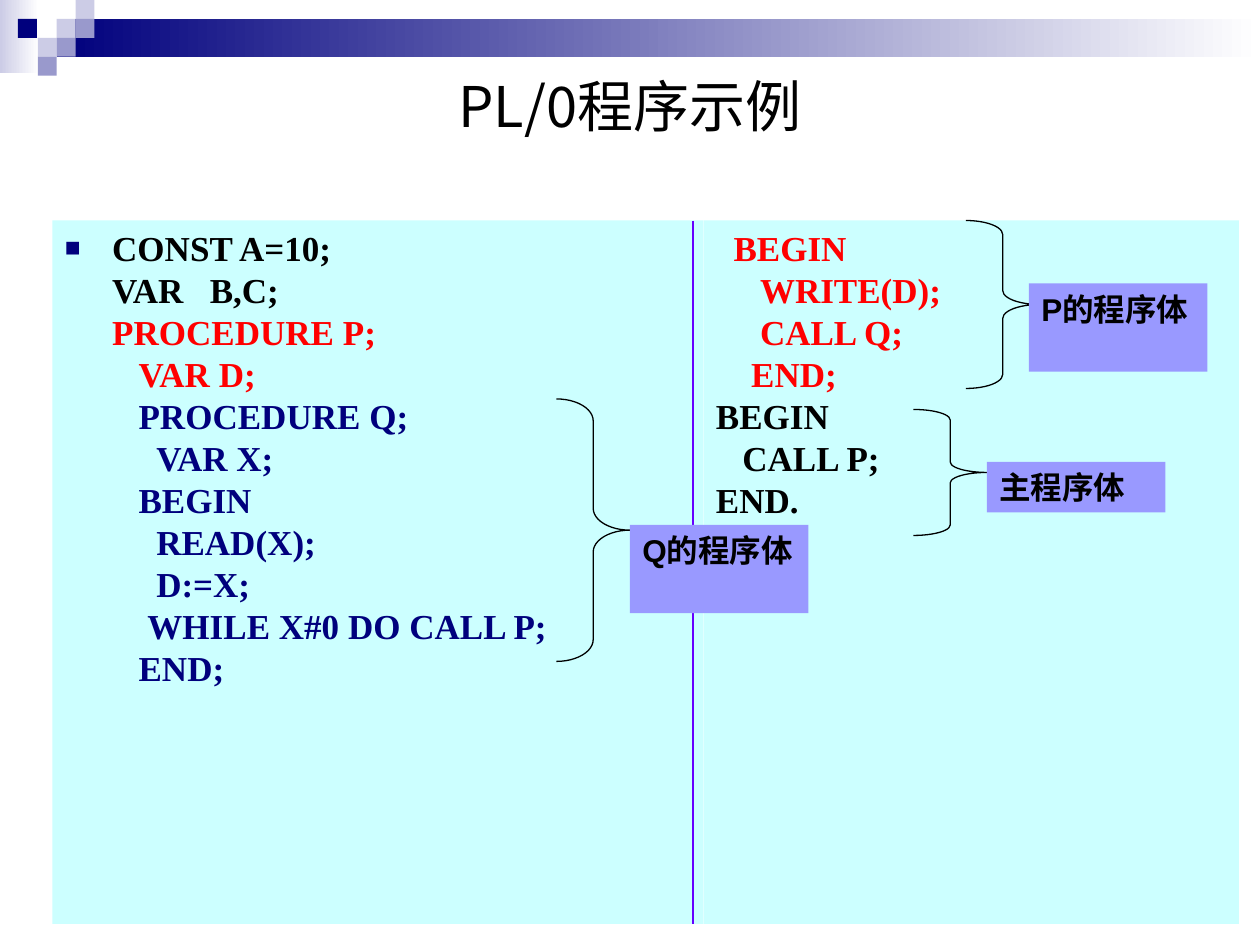
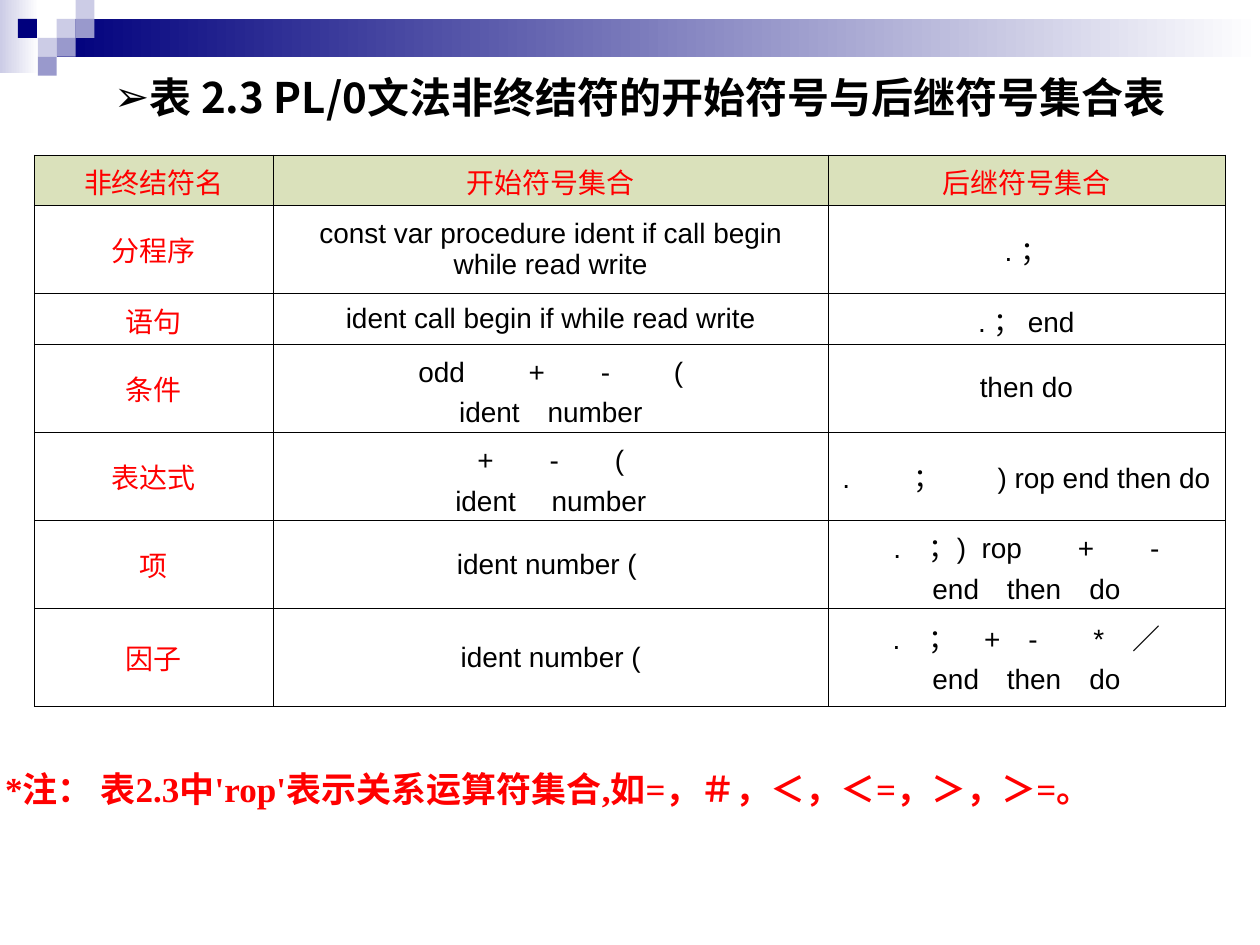
import pptx
import pptx.util
import pptx.dml.color
import pptx.enum.shapes
import pptx.enum.text
import pptx.oxml
import pptx.oxml.ns

SHAPE = pptx.enum.shapes.MSO_SHAPE
ALIGN = pptx.enum.text.PP_ALIGN
ANCHOR = pptx.enum.text.MSO_ANCHOR
UNIT = pptx.util.Inches(10) // 120
CJK, SANS, SERIF = "Noto Sans CJK SC", "Arial", "Times New Roman"
BLACK, RED, NAVY = "000000", "FF0000", "00007D"
WHITE, PALE, MID = "FFFFFF", "CCCCE6", "9999CC"
PANEL, LABEL, RULE, HEADER = "CCFFFF", "9999FF", "6600FF", "DAE1BB"
SPACE = 0.84
SQUARE = 1.8

LEFT_CODE = [
    (0, "CONST A=10;", BLACK), (0, "VAR   B,C;", BLACK),
    (0, "PROCEDURE P;", RED), (3, "VAR D;", RED),
    (3, "PROCEDURE Q;", NAVY), (5, "VAR X;", NAVY), (3, "BEGIN", NAVY),
    (5, "READ(X);", NAVY), (5, "D:=X;", NAVY),
    (4, "WHILE X#0 DO CALL P;", NAVY), (3, "END;", NAVY),
]
RIGHT_CODE = [
    (2, "BEGIN", RED), (5, "WRITE(D);", RED), (5, "CALL Q;", RED),
    (4, "END;", RED), (0, "BEGIN", BLACK), (3, "CALL P;", BLACK),
    (0, "END.", BLACK),
]
SYMBOL_SETS = [
    ("非终结符名", "开始符号集合", "后继符号集合"),
    ("分程序", "const var procedure ident if call begin while read write", ". ；"),
    ("语句", "ident call begin if while read write", ". ； end"),
    ("条件", "odd 　　+　　- 　　(\nident　number", "then do"),
    ("表达式", "+　　-　　(\nident 　number", ". 　　；　　) rop end then do"),
    ("项", "ident number ( ", ".　；)  rop　　+　　-\nend　then　do"),
    ("因子", "ident number (", ".　；　+　-　　*　／\nend　then　do"),
]


def grid(*values):
    """Turn grid units (120 columns by 90 rows) into lengths."""
    return [round(v * UNIT) for v in values]


def rgb(color):
    """Return the colour for a hex string."""
    return pptx.dml.color.RGBColor.from_string(color)


def add_run(p, text, font, size, color, bold=False):
    """Add a formatted run to a paragraph."""
    r = p.add_run()
    r.text = text
    for name, value in {"name": font, "size": pptx.util.Pt(size), "bold": bold}.items():
        setattr(r.font, name, value)
    r.font.color.rgb = rgb(color)
    ea = pptx.oxml.parse_xml(f'<a:ea {pptx.oxml.ns.nsdecls("a")} typeface="{CJK}"/>')
    r.font._element.find(pptx.oxml.ns.qn("a:latin")).addnext(ea)


def set_bullet(p, char, color, percent=100):
    """Give a paragraph a coloured bullet character."""
    ns = pptx.oxml.ns.nsdecls("a")
    for xml in (f'<a:buClr {ns}><a:srgbClr val="{color}"/></a:buClr>',
                f'<a:buSzPct {ns} val="{percent * 1000}"/>',
                f'<a:buFont {ns} typeface="{SANS}"/>',
                f'<a:buChar {ns} char="{char}"/>'):
        p._p.get_or_add_pPr().append(pptx.oxml.parse_xml(xml))


def add_box(shapes, box, fill, end=None):
    """Add a plain rectangle, fading to the end colour if one is given."""
    sp = shapes.add_shape(SHAPE.RECTANGLE, *grid(*box))
    sp.shadow.inherit = False
    sp.line.fill.background()
    if end:
        sp.fill.gradient()
        sp.fill.gradient_angle = 0
        for stop, color in zip(sp.fill.gradient_stops, (fill, end)):
            stop.color.rgb = rgb(color)
    else:
        sp.fill.solid()
        sp.fill.fore_color.rgb = rgb(fill)
    return sp


def add_band(s):
    """Draw the gradient band and its corner of squares."""
    shapes = s.shapes.add_group_shape().shapes
    add_box(shapes, (0, 0, 3.7, 7), PALE, WHITE)
    add_box(shapes, (5.4, 1.8, 114.6, 3.6), NAVY, WHITE)
    for col, row, color in ((3, 1, PALE), (4, 0, PALE), (4, 1, MID), (2, 2, PALE),
                            (0.95, 1, NAVY), (3, 2, MID), (2, 3, MID)):
        add_box(shapes, (col * SQUARE, row * SQUARE, SQUARE, SQUARE), color)


def add_text(s, box, text, font, size, color, bold=True, wrap=False, align=ALIGN.LEFT):
    """Add a one-line text box and return its paragraph."""
    tf = s.shapes.add_textbox(*grid(*box)).text_frame
    tf.word_wrap = wrap
    tf.vertical_anchor = ANCHOR.MIDDLE
    p = tf.paragraphs[0]
    p.alignment = align
    add_run(p, text, font, size, color, bold)
    return p


def fill_box(sp, lines, font, size, margin=0):
    """Write indented bold lines from the top left of a shape."""
    tf = sp.text_frame
    tf.word_wrap = True
    tf.vertical_anchor = ANCHOR.TOP
    for i, (spaces, text, color) in enumerate(lines):
        p = tf.add_paragraph() if i else tf.paragraphs[0]
        p.alignment = ALIGN.LEFT
        pPr = p._p.get_or_add_pPr()
        pPr.set("marL", str(grid(margin + spaces * SPACE)[0]))
        pPr.set("indent", "0")
        add_run(p, text, font, size, color, True)
    return tf


def add_brace(s, col, row, height):
    """Add a right brace seven columns wide."""
    width = 7
    sp = s.shapes.add_shape(SHAPE.RIGHT_BRACE, *grid(col, row, width, height))
    sp.shadow.inherit = False
    sp.fill.background()
    sp.line.color.rgb = rgb(BLACK)
    sp.line.width = pptx.util.Pt(0.75)
    sp.adjustments[0] = height / 12 / width


def add_label(s, col, row, height, text):
    """Add a filled label for a program body."""
    fill_box(add_box(s.shapes, (col, row, 17, height), LABEL), [(0, text, BLACK)], SANS, 18)


def add_rule(s, col, top, bottom):
    """Add the vertical line between the code panels."""
    line = s.shapes.add_connector(pptx.enum.shapes.MSO_CONNECTOR.STRAIGHT,
                                  *grid(col, top, col, bottom))
    line.line.color.rgb = rgb(RULE)
    line.line.width = pptx.util.Pt(0.75)
    line._element.spPr.append(
        pptx.oxml.parse_xml(f'<a:effectLst {pptx.oxml.ns.nsdecls("a")}/>'))


def format_cell(cell, text, color, fill):
    """Write one centred, bordered table cell."""
    tcPr = cell._tc.get_or_add_tcPr()
    for side in "LRTB":
        tcPr.append(pptx.oxml.parse_xml(
            f'<a:ln{side} {pptx.oxml.ns.nsdecls("a")} w="4318"><a:solidFill>'
            f'<a:srgbClr val="{BLACK}"/></a:solidFill></a:ln{side}>'))
    if fill:
        cell.fill.solid()
        cell.fill.fore_color.rgb = rgb(fill)
    else:
        cell.fill.background()
    cell.vertical_anchor = ANCHOR.MIDDLE
    for i, line in enumerate(text.split("\n")):
        p = cell.text_frame.add_paragraph() if i else cell.text_frame.paragraphs[0]
        p.alignment = ALIGN.CENTER
        add_run(p, line, SANS, 16, color)


def add_symbol_table(s, col, row, widths, heights):
    """Add the table of start and follow symbol sets."""
    box = grid(col, row, sum(widths), sum(heights))
    table = s.shapes.add_table(len(heights), len(widths), *box).table
    table.first_row = table.horz_banding = False
    for column, width in zip(table.columns, grid(*widths)):
        column.width = width
    for line, height in zip(table.rows, grid(*heights)):
        line.height = height
    for r, texts in enumerate(SYMBOL_SETS):
        for c, text in enumerate(texts):
            color = RED if r == 0 or c == 0 else BLACK
            format_cell(table.cell(r, c), text, color, HEADER if r == 0 else None)


def add_slide(prs):
    """Add a blank slide with the shared band."""
    s = prs.slides.add_slide(prs.slide_layouts[6])
    add_band(s)
    return s


def build_program_slide(prs):
    """Build the sample program slide."""
    s = add_slide(prs)
    add_text(s, (6, 6, 108, 8), "PL/0程序示例", CJK, 32, BLACK, False, True, ALIGN.CENTER)
    margin = 4.5
    tf = fill_box(add_box(s.shapes, (5, 21, 62, 67), PANEL), LEFT_CODE, SERIF, 20, margin)
    p = tf.paragraphs[0]
    p._p.get_or_add_pPr().set("indent", str(-grid(margin)[0]))
    set_bullet(p, "■", NAVY, 75)
    fill_box(add_box(s.shapes, (67, 21, 51, 67), PANEL), RIGHT_CODE, SERIF, 20)
    add_rule(s, 66, 21, 88)
    for brace in ((53, 38, 25), (92, 21, 16), (87, 39, 12)):
        add_brace(s, *brace)
    for label in ((60, 50, 8.4, "Q的程序体"), (98, 27, 8.4, "P的程序体"),
                  (94, 44, 4.8, "主程序体")):
        add_label(s, *label)


def build_symbol_slide(prs):
    """Build the symbol set slide."""
    s = add_slide(prs)
    p = add_text(s, (9.7, 6.2, 104.8, 6), "表 2.3 PL/0文法非终结符的开始符号与后继符号集合表",
                 CJK, 24, BLACK)
    set_bullet(p, "➢", BLACK)
    add_symbol_table(s, 3.25, 14.75, (22.8, 52.8, 37.8), (4.8, 8.4, 4.8, 8.4, 8.4, 8.4, 9.36))
    add_text(s, (-0.7, 72.4, 117, 5.3),
             "*注： 表2.3中'rop'表示关系运算符集合,如=，＃，＜，＜=，＞，＞=。", SERIF, 20, RED)


def main():
    """Build and save the presentation."""
    prs = pptx.Presentation()
    prs.slide_width, prs.slide_height = grid(120, 90)
    build_program_slide(prs)
    build_symbol_slide(prs)
    prs.save("out.pptx")


if __name__ == "__main__":
    main()
